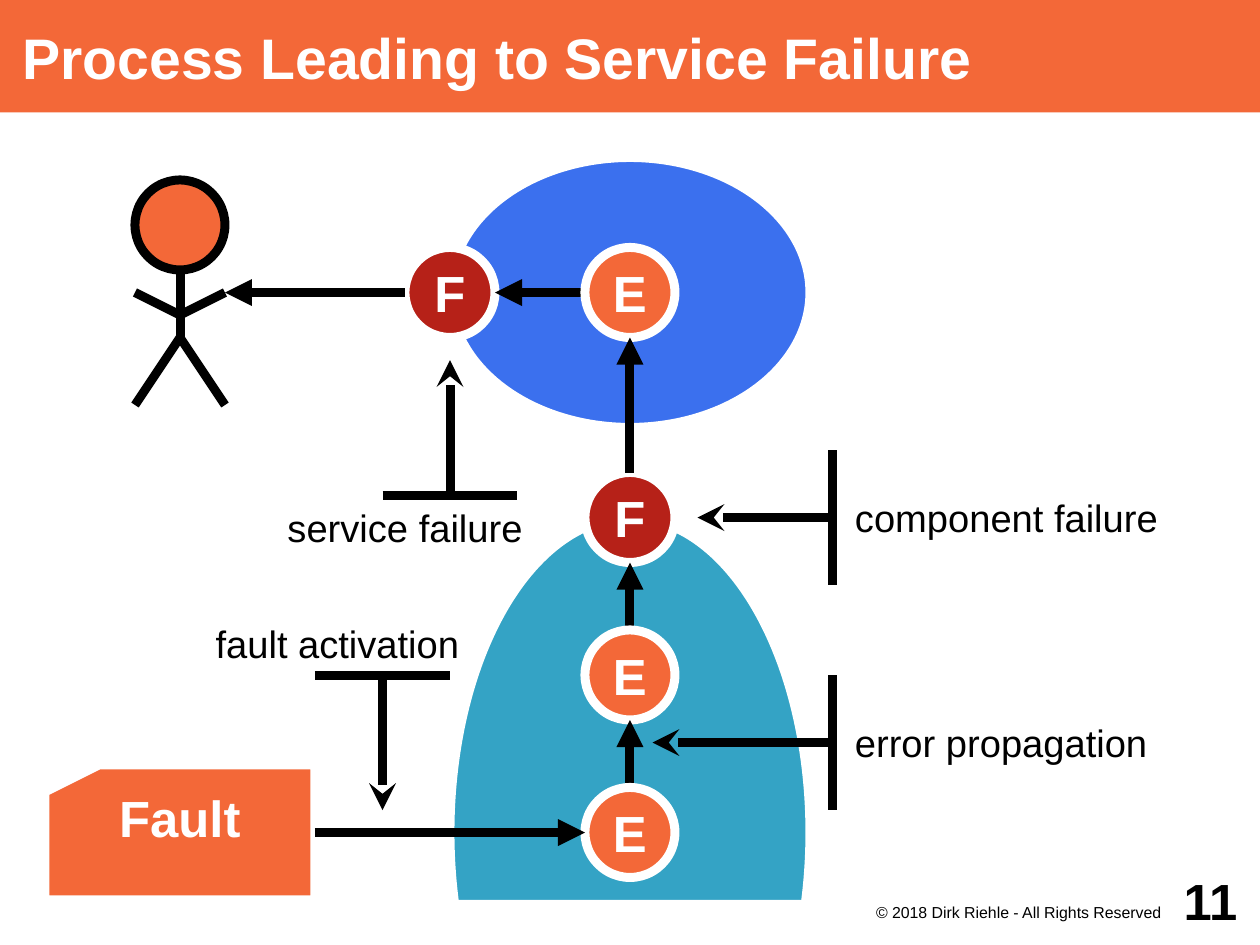
from lxml import etree
from pptx import Presentation
from pptx.dml.color import RGBColor
from pptx.enum.shapes import MSO_CONNECTOR, MSO_SHAPE as Shape
from pptx.enum.text import MSO_ANCHOR as Anchor, PP_ALIGN as Align
from pptx.oxml.ns import qn
from pptx.util import Cm, Pt

WHITE = RGBColor(0xFF, 0xFF, 0xFF)
BLACK = RGBColor(0, 0, 0)
ORANGE = RGBColor(0xF3, 0x68, 0x38)
RED = RGBColor(0xB6, 0x21, 0x18)
BLUE = RGBColor(0x3B, 0x70, 0xEE)
TEAL = RGBColor(0x34, 0xA3, 0xC5)

STROKE = Pt(5.67)
LABEL_INSETS = (0.2, 0.2, 0.2, 0.2)
SIDE_INSETS = (0.5, 0.2, 0.2, 0.2)


def write(holder, text, size=24, bold=False, color=BLACK, align=Align.LEFT,
          anchor=Anchor.MIDDLE, insets=LABEL_INSETS, wrap=True):
    """Put one formatted paragraph into a shape; insets are left, top, right, bottom in cm."""
    frame = holder.text_frame
    frame.word_wrap = wrap
    frame.vertical_anchor = anchor
    (frame.margin_left, frame.margin_top,
     frame.margin_right, frame.margin_bottom) = map(Cm, insets)
    paragraph = frame.paragraphs[0]
    paragraph.alignment = align
    run = paragraph.add_run()
    run.text = text
    run.font.name = "Arial"
    run.font.size = Pt(size)
    run.font.bold = bold
    run.font.color.rgb = color


def add_label(slide, text, box, **text_format):
    label = slide.shapes.add_textbox(*map(Cm, box))
    write(label, text, **text_format)
    return label


def add_filled(slide, kind, box, fill, outline=None):
    filled = slide.shapes.add_shape(kind, *map(Cm, box))
    filled.shadow.inherit = False
    filled.fill.solid()
    filled.fill.fore_color.rgb = fill
    if outline is None:
        filled.line.fill.background()
    else:
        filled.line.color.rgb = outline
        filled.line.width = STROKE
    return filled


def add_line(slide, start, end, arrow=None):
    line = slide.shapes.add_connector(MSO_CONNECTOR.STRAIGHT, *map(Cm, (*start, *end)))
    line.line.color.rgb = BLACK
    line.line.width = STROKE
    if arrow:
        etree.SubElement(line.line._get_or_add_ln(), qn("a:tailEnd"), type=arrow)
    etree.SubElement(line._element.spPr, qn("a:effectLst"))
    return line


def add_state(slide, letter, x, y):
    """Draw an error (E) or failure (F) circle around its centre."""
    fill = RED if letter == "F" else ORANGE
    state = add_filled(slide, Shape.OVAL, (x - 1, y - 1, 2, 2), fill, WHITE)
    write(state, letter, size=32, bold=True, color=WHITE, align=Align.CENTER,
          insets=(0.25,) * 4, wrap=False)


def add_pointer(slide, base, tip):
    """Draw an open arrow that starts at the middle of a 3 cm crossbar."""
    x, y = base
    pointer = add_line(slide, base, tip, "stealth")
    if x == tip[0]:
        add_line(slide, (x - 1.5, y), (x + 1.5, y))
    else:
        add_line(slide, (x, y - 1.5), (x, y + 1.5))
    return pointer


def add_side_note(slide, text, y, tip_x):
    note = add_label(slide, text, (18.5, y - 2.5, 8, 5), insets=SIDE_INSETS)
    add_pointer(slide, (18.5, y), (tip_x, y)).begin_connect(note, 1)


def add_user(slide):
    hip, shoulder = (4, 7.5), (4, 7)
    add_line(slide, hip, (4, 5))
    for hand_x in (3, 5):
        add_line(slide, shoulder, (hand_x, 6.5))
        add_line(slide, hip, (hand_x, 9))
    add_filled(slide, Shape.OVAL, (3, 4, 2, 2), ORANGE, BLACK)


def add_fault(slide):
    fault = add_filled(slide, Shape.FLOWCHART_CARD, (1, 17, 6, 3), ORANGE, WHITE)
    write(fault, "Fault", size=32, bold=True, color=WHITE, align=Align.CENTER,
          insets=(0.25, 0, 0.25, 1.3), wrap=False)
    return fault


def main():
    deck = Presentation()
    deck.slide_width, deck.slide_height = Cm(28), Cm(21)
    slide = deck.slides.add_slide(deck.slide_layouts[6])

    # Title bar
    title = add_filled(slide, Shape.RECTANGLE, (0, 0, 28, 2.5), ORANGE)
    write(title, "Process Leading to Service Failure", size=36, bold=True,
          color=WHITE, insets=(0.5, 0, 0, 0))

    add_side_note(slide, "component failure", 11.5, 15.5)
    add_user(slide)
    fault = add_fault(slide)

    # Lower component: errors propagate up to its failure
    add_filled(slide, Shape.OVAL, (10, 11.5, 8, 14), TEAL, WHITE)
    add_state(slide, "F", 14, 11.5)
    for error_y in (15, 18.5):
        add_line(slide, (14, error_y - 1), (14, error_y - 2.5), "triangle")
        add_state(slide, "E", 14, error_y)

    # Upper component: its failure reaches the user
    add_filled(slide, Shape.OVAL, (10, 3.5, 8, 6), BLUE, WHITE)
    add_state(slide, "F", 10, 6.5)
    add_line(slide, (13, 6.5), (11, 6.5), "triangle")
    add_state(slide, "E", 14, 6.5)
    add_line(slide, (9, 6.5), (5, 6.5), "triangle")
    add_line(slide, (14, 10.5), (14, 7.5), "triangle")

    # Straight lower edge of the lower component
    add_filled(slide, Shape.RECTANGLE, (10, 20, 8, 5.5), WHITE)
    add_line(slide, (7, 18.5), (13, 18.5), "triangle").begin_connect(fault, 3)

    # Remaining notes
    add_side_note(slide, "error propagation", 16.5, 14.5)
    add_pointer(slide, (8.5, 15), (8.5, 18))
    add_label(slide, "fault activation", (4, 12.5, 7, 2.5),
              align=Align.CENTER, anchor=Anchor.BOTTOM)
    add_pointer(slide, (10, 11), (10, 8))
    add_label(slide, "service failure", (5.5, 11, 7, 2.5),
              align=Align.CENTER, anchor=Anchor.TOP)

    # Footer
    add_label(slide, "© 2018 Dirk Riehle - All Rights Reserved", (18, 20, 8, 1),
              size=10, align=Align.RIGHT, anchor=Anchor.TOP, insets=(0, 0.05, 0.2, 0))
    add_label(slide, "11", (25.5, 19, 2.5, 2), size=32, bold=True,
              align=Align.RIGHT, insets=(0, 0, 0.5, 0))

    deck.save("out.pptx")


if __name__ == "__main__":
    main()
